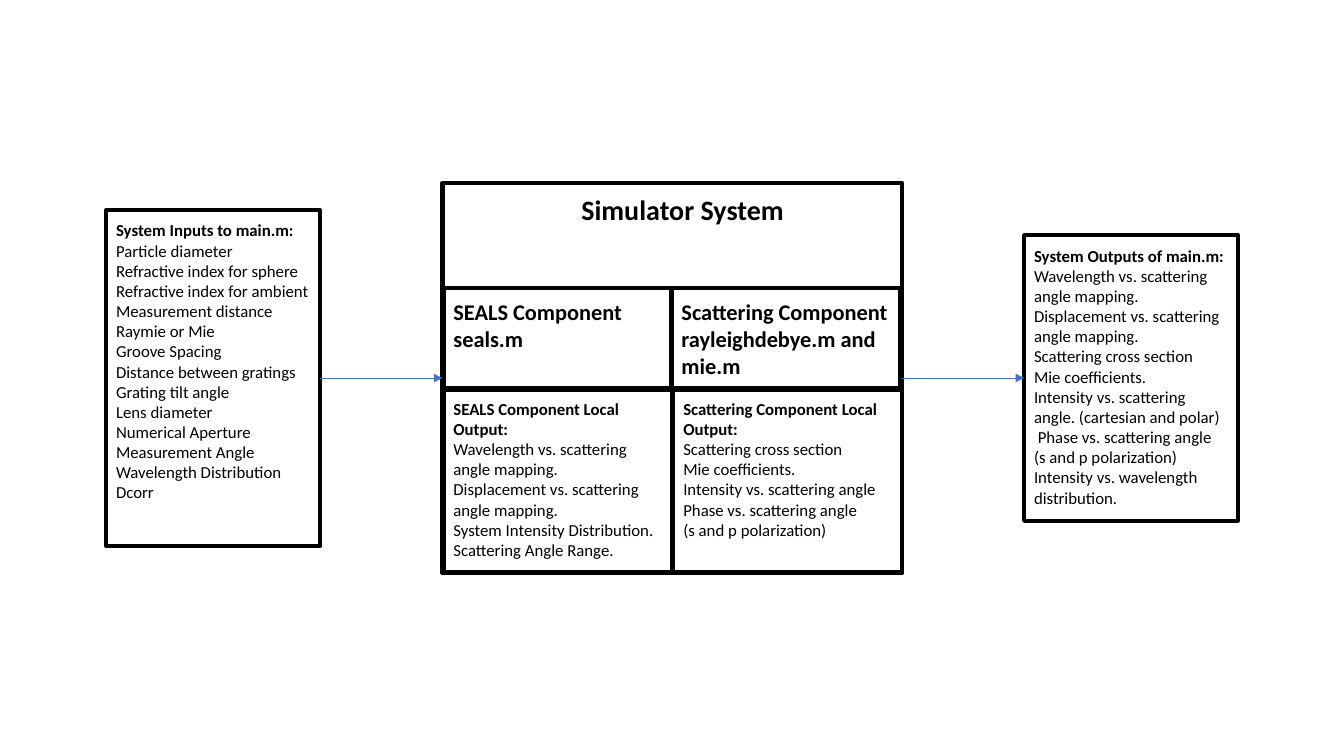
import pptx
import pptx.util
import pptx.dml.color
import pptx.enum.shapes
import pptx.enum.text
import pptx.oxml
import pptx.oxml.ns

Pt = pptx.util.Pt
RGB = pptx.dml.color.RGBColor.from_string

theme = {
    "font": "Calibri", "ink": RGB("000000"), "arrow": RGB("4472C4"),
    "body": 12, "head": 16, "title": 20,
    "frame": 3, "thin": 0.5, "pad": 7.2,
}

deck = pptx.Presentation()
deck.slide_width, deck.slide_height = Pt(960), Pt(540)
slide = deck.slides.add_slide(deck.slide_layouts[6])


def add_box(text, left, top, width, height, size=theme["body"], bold=1, indent=0):
    """Framed box; the first `bold` lines are bold."""
    box = slide.shapes.add_shape(pptx.enum.shapes.MSO_SHAPE.RECTANGLE,
                                 Pt(left), Pt(top), Pt(width), Pt(height))
    box.shadow.inherit = False
    box.fill.background()
    box.line.color.rgb = theme["ink"]
    box.line.width = Pt(theme["frame"])
    frame = box.text_frame
    frame.word_wrap = True
    frame.vertical_anchor = pptx.enum.text.MSO_ANCHOR.TOP
    frame.margin_top = frame.margin_right = frame.margin_bottom = Pt(theme["pad"])
    frame.margin_left = Pt(theme["pad"] + indent)
    frame.text = text
    for i, line in enumerate(frame.paragraphs):
        line.alignment = pptx.enum.text.PP_ALIGN.LEFT
        font = line.runs[0].font
        font.name, font.size = theme["font"], Pt(size)
        font.color.rgb = theme["ink"]
        font.bold = i < bold
    return box


# Outer boxes, all centred on one line
mid = 270
side = 152.6

inputs = add_box("""System Inputs to main.m:
Particle diameter
Refractive index for sphere
Refractive index for ambient
Measurement distance
Raymie or Mie
Groove Spacing
Distance between gratings
Grating tilt angle
Lens diameter
Numerical Aperture
Measurement Angle
Wavelength Distribution
Dcorr""", 75.8, mid - 120, side, 240)

system = add_box("Simulator System", 316, mid - 139.5, 328.4, 279,
                 size=theme["title"], indent=92)

outputs = add_box("""System Outputs of main.m:
Wavelength vs. scattering angle mapping.
Displacement vs. scattering angle mapping.
Scattering cross section
Mie coefficients.
Intensity vs. scattering angle. (cartesian and polar)
 Phase vs. scattering angle
(s and p polarization)
Intensity vs. wavelength distribution.""", 731.5, mid - 102, side, 204)

# Components: heading above local output
parts = [
    (316.8, 316.8, "SEALS Component\nseals.m", """SEALS Component Local Output:
Wavelength vs. scattering angle mapping.
Displacement vs. scattering angle mapping.
System Intensity Distribution.
Scattering Angle Range."""),
    (479.7, 481, "Scattering Component\nrayleighdebye.m and mie.m",
     """Scattering Component Local Output:
Scattering cross section
Mie coefficients.
Intensity vs. scattering angle Phase vs. scattering angle
(s and p polarization)"""),
]
for head_x, local_x, head, local in parts:
    add_box(local, local_x, 277.4, 163.4, 131)
    add_box(head, head_x, 206, 163.4, 72.6, size=theme["head"], bold=2)

# Arrows from inputs through the system to outputs
for start, end in [(inputs, system), (system, outputs)]:
    link = slide.shapes.add_connector(
        pptx.enum.shapes.MSO_CONNECTOR.STRAIGHT, 0, 0, 0, 0)
    link.begin_connect(start, 3)
    link.end_connect(end, 1)
    link.line.color.rgb = theme["arrow"]
    link.line.width = Pt(theme["thin"])
    props = link._element.spPr
    tail = pptx.oxml.parse_xml(
        "<a:tailEnd %s type='triangle'/>" % pptx.oxml.ns.nsdecls("a"))
    props.find(pptx.oxml.ns.qn("a:ln")).append(tail)
    props.append(pptx.oxml.parse_xml(
        "<a:effectLst %s/>" % pptx.oxml.ns.nsdecls("a")))

deck.save("out.pptx")
